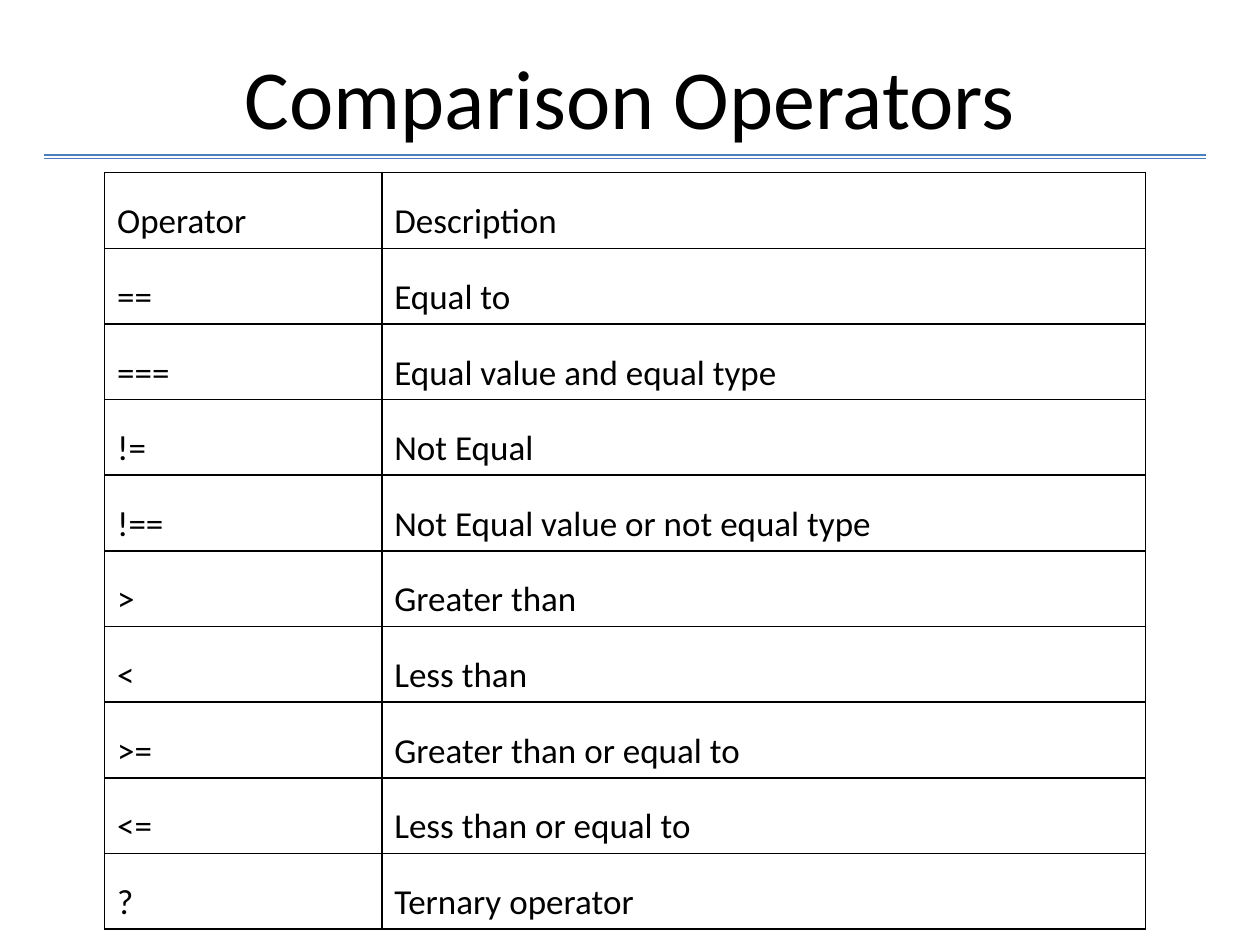
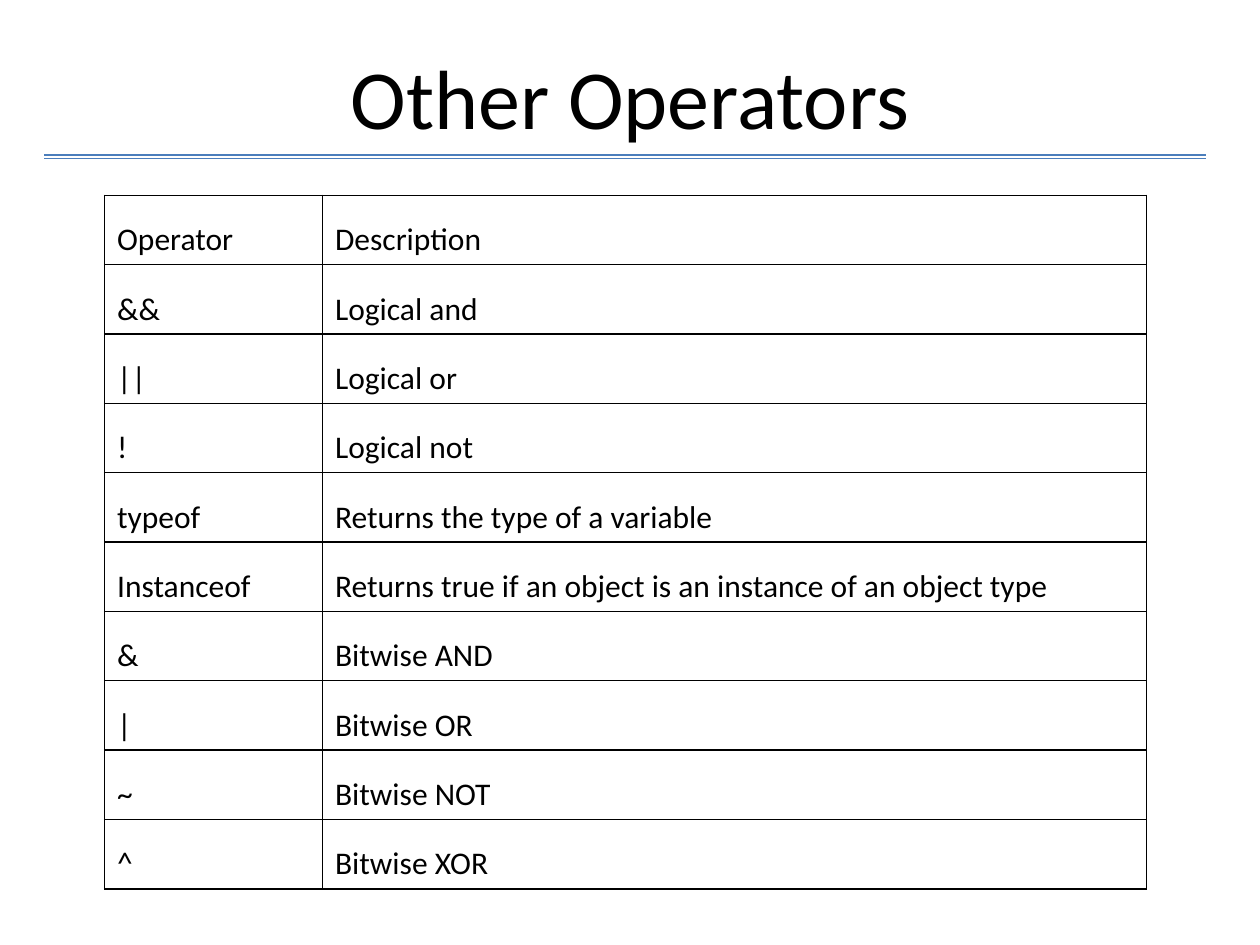
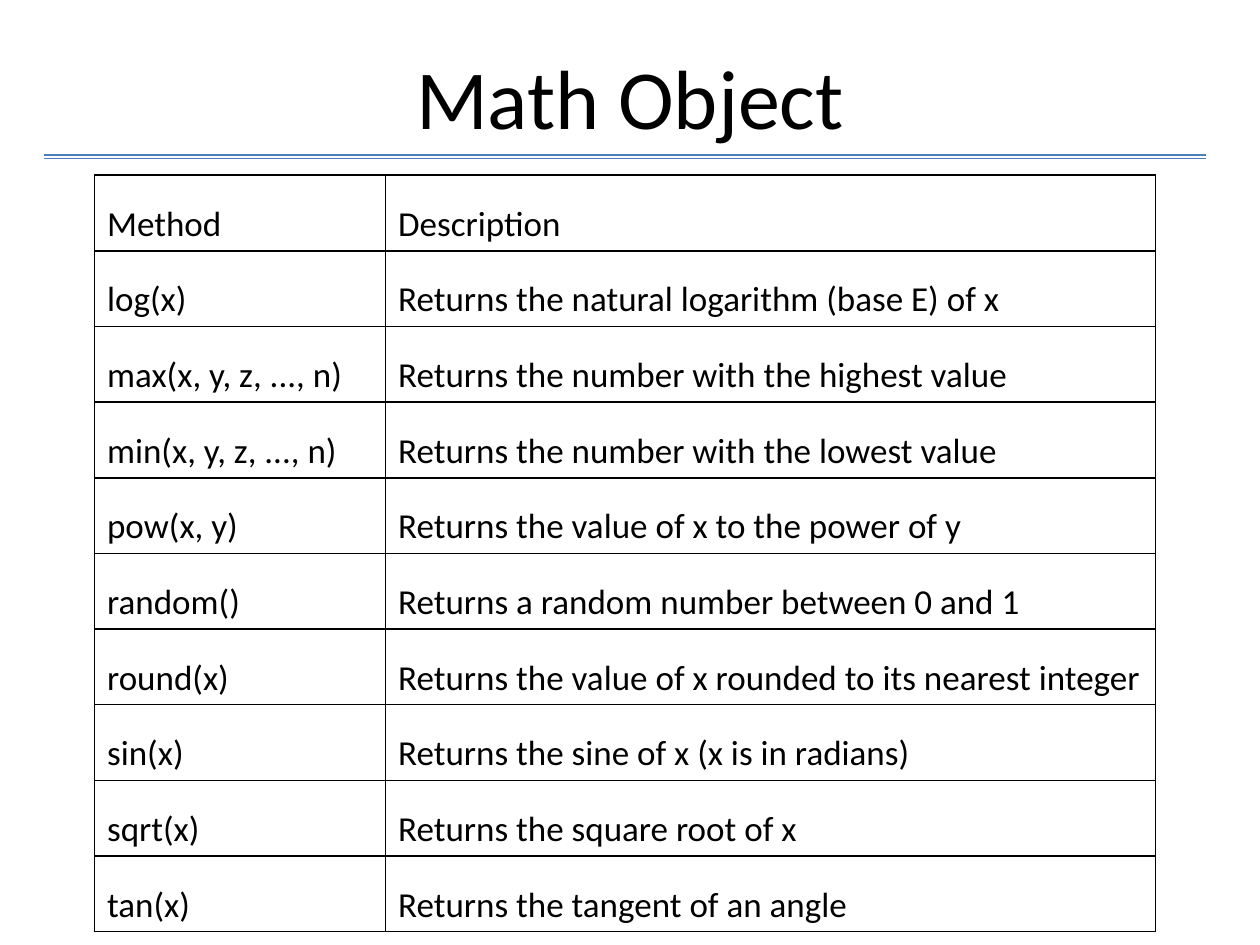
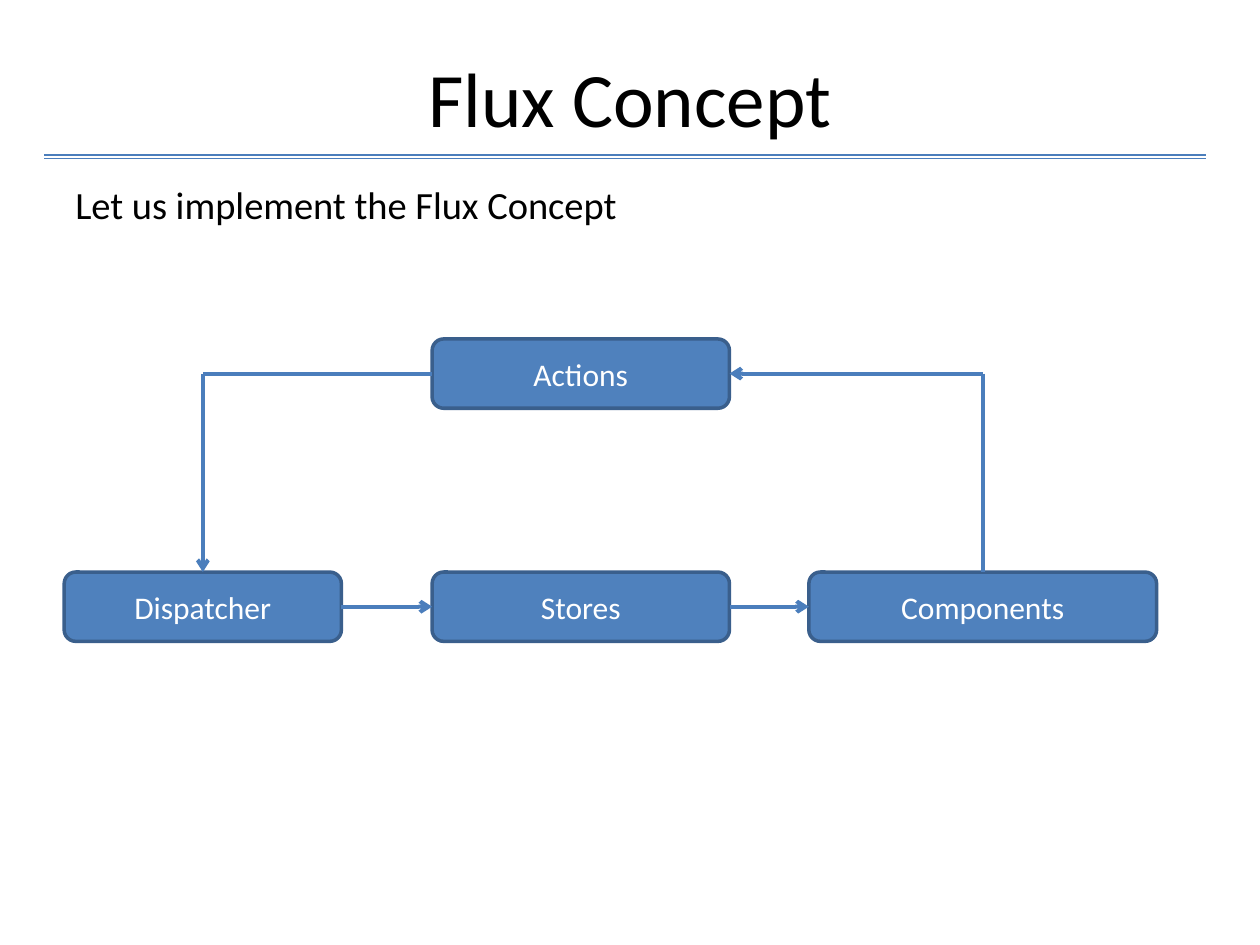
"""Build four slides on operators, the Math object and the Flux concept."""
import lxml.etree
import pptx
import pptx.dml.color
import pptx.enum.shapes
import pptx.enum.text
import pptx.oxml.ns
import pptx.util

COLORS = {"text": "000000", "light": "FFFFFF", "box": "4F81BD",
          "edge": "3A5F8C", "rule": "4B7EBC"}
FONT = "Calibri"
COLS, ROWS = 100, 75
ALIGN = pptx.enum.text.PP_ALIGN
ANCHOR = pptx.enum.text.MSO_ANCHOR
QN = pptx.oxml.ns.qn


def rgb(name):
    return pptx.dml.color.RGBColor.from_string(COLORS[name])


def write(tf, text, size=18, color="text", align=ALIGN.LEFT, spacing=None, before=None):
    p = tf.paragraphs[0]
    p.alignment = align
    if spacing:
        p.line_spacing = spacing
    if before is not None:
        p.space_before = pptx.util.Pt(before)
    r = p.add_run()
    r.text = text
    r.font.size = pptx.util.Pt(size)
    r.font.name = FONT
    r.font.color.rgb = rgb(color)


class Deck:
    def __init__(self):
        self.prs = pptx.Presentation()
        self.prs.slide_width = pptx.util.Inches(10)
        self.prs.slide_height = pptx.util.Inches(7.5)
        self.s = None

    def x(self, cols):
        return round(self.prs.slide_width * cols / COLS)

    def y(self, rows):
        return round(self.prs.slide_height * rows / ROWS)

    def box(self, col, row, width, height):
        return self.x(col), self.y(row), self.x(width), self.y(height)

    def slide(self, title, size=48):
        self.s = self.prs.slides.add_slide(self.prs.slide_layouts[6])
        for row in (12.3, 12.6):
            self.line((3.5, row), (95.7, row), width=0.75)
        self.text((5, 3, 90, 9.3), title, anchor=ANCHOR.MIDDLE,
                  size=size, align=ALIGN.CENTER)

    def text(self, area, text, anchor=ANCHOR.TOP, **fmt):
        tf = self.s.shapes.add_textbox(*self.box(*area)).text_frame
        tf.word_wrap = True
        tf.vertical_anchor = anchor
        write(tf, text, **fmt)

    def line(self, start, end, width=2.25, arrow=False):
        sp = self.s.shapes.add_connector(
            pptx.enum.shapes.MSO_CONNECTOR.STRAIGHT,
            self.x(start[0]), self.y(start[1]), self.x(end[0]), self.y(end[1]))
        sp.line.color.rgb = rgb("rule")
        sp.line.width = pptx.util.Pt(width)
        if arrow:
            lxml.etree.SubElement(sp.line._get_or_add_ln(), QN("a:tailEnd"), type="arrow")
        lxml.etree.SubElement(sp._element.spPr, QN("a:effectLst"))

    def node(self, area, text):
        sp = self.s.shapes.add_shape(
            pptx.enum.shapes.MSO_SHAPE.ROUNDED_RECTANGLE, *self.box(*area))
        sp.shadow.inherit = False
        sp.fill.solid()
        sp.fill.fore_color.rgb = rgb("box")
        sp.line.color.rgb = rgb("edge")
        sp.line.width = pptx.util.Pt(2)
        sp.text_frame.word_wrap = True
        sp.text_frame.vertical_anchor = ANCHOR.MIDDLE
        write(sp.text_frame, text, color="light", align=ALIGN.CENTER)

    def border(self, cell):
        tcPr = cell._tc.get_or_add_tcPr()
        for side in "LRTB":
            ln = lxml.etree.SubElement(tcPr, QN(f"a:ln{side}"), w=str(pptx.util.Pt(1)))
            fill = lxml.etree.SubElement(ln, QN("a:solidFill"))
            lxml.etree.SubElement(fill, QN("a:srgbClr"), val=COLORS["text"])

    def table(self, col, row, widths, height, rows, size, anchor=ANCHOR.TOP):
        tbl = self.s.shapes.add_table(
            len(rows), len(widths), *self.box(col, row, sum(widths), height)).table
        tbl.first_row = tbl.horz_banding = False
        for column, width in zip(tbl.columns, widths):
            column.width = self.x(width)
        for i, values in enumerate(rows):
            for j, value in enumerate(values):
                cell = tbl.cell(i, j)
                self.border(cell)
                cell.fill.background()
                cell.vertical_anchor = anchor
                write(cell.text_frame, value, size=size, spacing=1.5)


COMPARISON = [
    ("Operator", "Description"),
    ("==", "Equal to"),
    ("===", "Equal value and equal type"),
    ("!=", "Not Equal"),
    ("!==", "Not Equal value or not equal type"),
    (">", "Greater than"),
    ("<", "Less than"),
    (">=", "Greater than or equal to"),
    ("<=", "Less than or equal to"),
    ("?", "Ternary operator"),
]
OTHER = [
    ("Operator", "Description"),
    ("&&", "Logical and"),
    ("||", "Logical or"),
    ("!", "Logical not"),
    ("typeof", "Returns the type of a variable"),
    ("Instanceof", "Returns true if an object is an instance of an object type"),
    ("&", "Bitwise AND"),
    ("|", "Bitwise OR"),
    ("~", "Bitwise NOT"),
    ("^", "Bitwise XOR"),
]
MATH = [
    ("Method", "Description"),
    ("log(x)", "Returns the natural logarithm (base E) of x"),
    ("max(x, y, z, ..., n)", "Returns the number with the highest value"),
    ("min(x, y, z, ..., n)", "Returns the number with the lowest value"),
    ("pow(x, y)", "Returns the value of x to the power of y"),
    ("random()", "Returns a random number between 0 and 1"),
    ("round(x)", "Returns the value of x rounded to its nearest integer"),
    ("sin(x)", "Returns the sine of x (x is in radians)"),
    ("sqrt(x)", "Returns the square root of x"),
    ("tan(x)", "Returns the tangent of an angle"),
]
TOP, BOTTOM, NODE_H = 26.9, 45.4, 5.5
NODES = {
    "Actions": (34.3, TOP, 23.6, NODE_H),
    "Dispatcher": (5.1, BOTTOM, 22, NODE_H),
    "Stores": (34.3, BOTTOM, 23.6, NODE_H),
    "Components": (64.2, BOTTOM, 27.6, NODE_H),
}


def side(name, across, down):
    col, row, width, height = NODES[name]
    return col + width * across, row + height * down


def flux(deck):
    deck.slide("Flux Concept", size=44)
    deck.text((5, 13.9, 90, 58.3), "Let us implement the Flux Concept", size=22, before=4.4)
    for name, area in NODES.items():
        deck.node(area, name)
    for source, target in (("Stores", "Components"), ("Dispatcher", "Stores")):
        deck.line(side(source, 1, 0.5), side(target, 0, 0.5), arrow=True)
    actions_left, actions_right = side("Actions", 0, 0.5), side("Actions", 1, 0.5)
    dispatcher, components = side("Dispatcher", 0.5, 0), side("Components", 0.5, 0)
    left_corner = dispatcher[0], actions_left[1]
    right_corner = components[0], actions_right[1]
    deck.line(actions_left, left_corner)
    deck.line(left_corner, dispatcher, arrow=True)
    deck.line(right_corner, actions_right, arrow=True)
    deck.line(right_corner, components)


def main():
    deck = Deck()
    deck.slide("Comparison Operators")
    deck.table(8.3, 13.7, (22, 60.6), 60, COMPARISON, 20)
    deck.slide("Other Operators")
    deck.table(8.3, 15.5, (17.3, 65.4), 55, OTHER, 18)
    deck.slide("Math Object")
    deck.table(7.5, 13.9, (23.1, 61.1), 60, MATH, 20, anchor=ANCHOR.MIDDLE)
    flux(deck)
    deck.prs.save("out.pptx")


if __name__ == "__main__":
    main()
